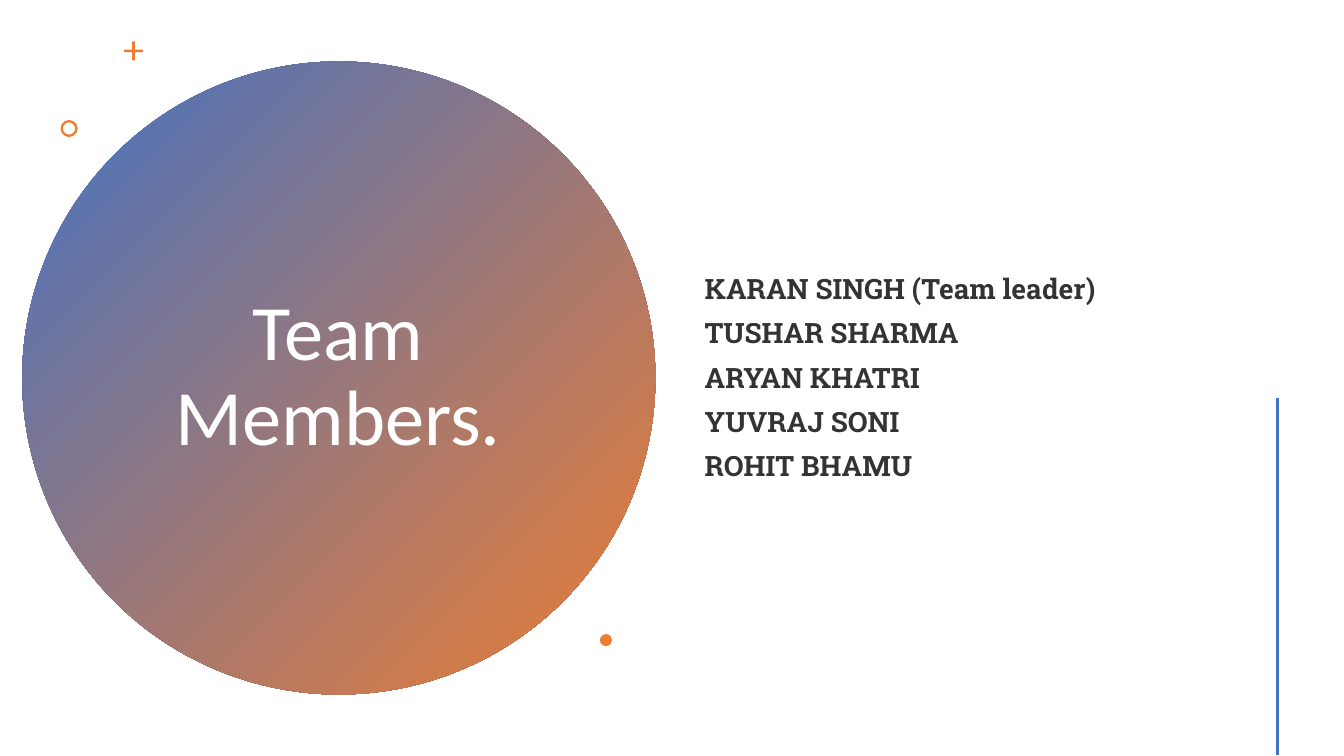
from lxml.etree import SubElement
from pptx import Presentation
from pptx.dml.color import RGBColor
from pptx.enum.shapes import MSO_CONNECTOR, MSO_SHAPE as Shape
from pptx.enum.text import MSO_ANCHOR as Anchor, PP_ALIGN as Align
from pptx.oxml.ns import qn
from pptx.util import Inches, Pt

BLUE, ORANGE = "4472C4", "ED7D31"
MEMBERS = [
    "KARAN SINGH (Team leader)",
    "TUSHAR SHARMA",
    "ARYAN KHATRI",
    "YUVRAJ SONI",
    "ROHIT BHAMU",
]


def rgb(value):
    return RGBColor.from_string(value)


def write(paragraph, text, *, font, size, color, bold=False, align=Align.LEFT, before=0):
    paragraph.alignment = align
    paragraph.line_spacing = 0.9
    paragraph.space_before = Pt(before)
    run = paragraph.add_run()
    run.text = text
    run.font.name = font
    run.font.size = Pt(size)
    run.font.bold = bold
    run.font.color.rgb = rgb(color)
    return run


presentation = Presentation()
presentation.slide_width = Inches(13.33)
presentation.slide_height = Inches(7.5)
slide = presentation.slides.add_slide(presentation.slide_layouts[5])

# Large gradient circle
circle = slide.shapes.add_shape(
    Shape.OVAL, Inches(0.22), Inches(0.61), Inches(6.28), Inches(6.28))
circle.shadow.inherit = False
circle.line.fill.background()
circle.fill.gradient()
circle.fill.gradient_angle = 315
for stop, color, position in zip(circle.fill.gradient_stops, (BLUE, ORANGE), (0, 1)):
    stop.color.rgb = rgb(color)
    stop.position = position

# Title, in front of the circle
title = slide.shapes.title
title.left, title.top = Inches(1.36), Inches(1.41)
title.width, title.height = Inches(3.99), Inches(4.67)
title.text_frame.word_wrap = True
title.text_frame.vertical_anchor = Anchor.MIDDLE
write(title.text_frame.paragraphs[0], "Team Members.",
      font="Calibri", size=56, color="FFFFFF", align=Align.CENTER)
circle.element.addnext(title.element)

# Small orange ornaments: plus, ring and dot
for kind, left, top, size, adjustment in [
    (Shape.CROSS, 1.23, 0.41, 0.19, 0.43),
    (Shape.DONUT, 0.6, 1.19, 0.17, 0.14),
    (Shape.OVAL, 5.95, 6.29, 0.12, None),
]:
    ornament = slide.shapes.add_shape(
        kind, Inches(left), Inches(top), Inches(size), Inches(size))
    ornament.shadow.inherit = False
    ornament.line.fill.background()
    ornament.fill.solid()
    ornament.fill.fore_color.rgb = rgb(ORANGE)
    if adjustment:
        ornament.adjustments[0] = adjustment

# Member list in 80 % black
member_box = slide.shapes.add_textbox(
    Inches(6.89), Inches(0.57), Inches(5.22), Inches(6.38))
frame = member_box.text_frame
frame.word_wrap = True
frame.vertical_anchor = Anchor.MIDDLE
for index, member in enumerate(MEMBERS):
    paragraph = frame.add_paragraph() if index else frame.paragraphs[0]
    run = write(paragraph, member, font="Roboto Slab", size=20,
                color="000000", bold=True, before=10)
    fill_color = run.font.fill._xPr.find(".//" + qn("a:srgbClr"))
    SubElement(fill_color, qn("a:alpha"), val="80000")

# Vertical accent line
accent_line = slide.shapes.add_connector(
    MSO_CONNECTOR.STRAIGHT, Inches(12.67), Inches(3.95), Inches(12.67), Inches(7.49))
accent_line.line.color.rgb = rgb(BLUE)
accent_line.line.width = Pt(2)
SubElement(accent_line.element.spPr, qn("a:effectLst"))

presentation.save("out.pptx")
